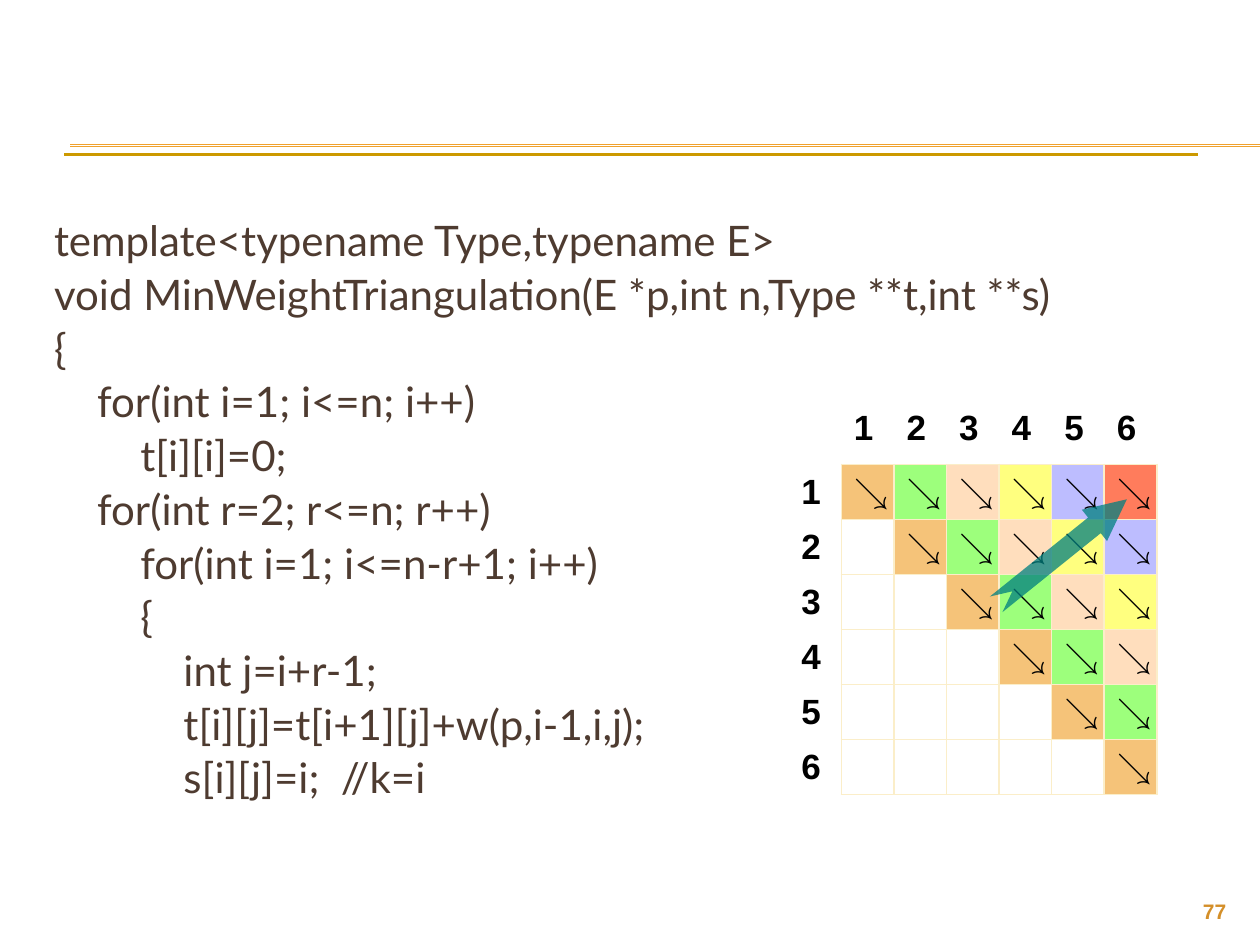
from lxml import etree
from pptx import Presentation
from pptx.dml.color import RGBColor
from pptx.enum.shapes import MSO_CONNECTOR, MSO_SHAPE
from pptx.enum.text import MSO_ANCHOR, PP_ALIGN
from pptx.oxml.ns import qn
from pptx.util import Cm, Pt

STRAIGHT = MSO_CONNECTOR.STRAIGHT
NOTCHED_ARROW = MSO_SHAPE.NOTCHED_RIGHT_ARROW
MIDDLE = MSO_ANCHOR.MIDDLE
LEFT = PP_ALIGN.LEFT
RIGHT = PP_ALIGN.RIGHT

ORANGE = RGBColor(0xF0, 0xA2, 0x2E)
GOLD = RGBColor(0xCC, 0x99, 0x00)
BROWN = RGBColor(0x4E, 0x3B, 0x30)
AMBER = RGBColor(0xD4, 0x8F, 0x29)
CREAM = RGBColor(0xFB, 0xEE, 0xC9)
BLACK = RGBColor(0x00, 0x00, 0x00)
TEAL = RGBColor(0x00, 0x80, 0x80)
GREEN = RGBColor(0x66, 0xFF, 0x33)
PEACH = RGBColor(0xFF, 0xCC, 0x99)
YELLOW = RGBColor(0xFF, 0xFF, 0x00)
LAVENDER = RGBColor(0x99, 0x99, 0xFF)
RED = RGBColor(0xFF, 0x33, 0x00)

DIAGONALS = [(ORANGE, 64), (GREEN, 64), (PEACH, 64), (YELLOW, 50), (LAVENDER, 64), (RED, 64)]
SIZE = len(DIAGONALS)
CODE = [
    (0, "template<typename Type,typename E>"),
    (0, "void MinWeightTriangulation(E *p,int n,Type **t,int **s)"),
    (0, "{"),
    (1, "for(int i=1; i<=n; i++)"),
    (2, "t[i][i]=0;"),
    (1, "for(int r=2; r<=n; r++)"),
    (2, "for(int i=1; i<=n-r+1; i++)"),
    (2, "{"),
    (3, "int j=i+r-1;"),
    (3, "t[i][j]=t[i+1][j]+w(p,i-1,i,j);"),
    (3, "s[i][j]=i;  //k=i"),
]


class SlideBuilder:
    code_font = "Lato"
    label_font = "Arial"
    indent_step = 0.87

    def __init__(self, slide):
        self.slide = slide

    def rule(self, left, right, top, color, width):
        line = self.slide.shapes.add_connector(STRAIGHT, Cm(left), Cm(top), Cm(right), Cm(top))
        line.line.color.rgb = color
        line.line.width = Pt(width)
        etree.SubElement(line._element.spPr, qn("a:effectLst"))

    def run(self, paragraph, text, font, size, color, bold=False):
        run = paragraph.add_run()
        run.text = text
        run.font.name = font
        run.font.size = Pt(size)
        run.font.color.rgb = color
        run.font.bold = bold

    def text_box(self, left, top, width, height):
        box = self.slide.shapes.add_textbox(Cm(left), Cm(top), Cm(width), Cm(height))
        box.text_frame.word_wrap = True
        return box.text_frame

    def code(self, left, top, width, height, lines):
        frame = self.text_box(left, top, width, height)
        for index, (level, text) in enumerate(lines):
            paragraph = frame.add_paragraph() if index else frame.paragraphs[0]
            paragraph.alignment = LEFT
            paragraph.line_spacing = 0.9
            paragraph.space_before = Pt(4.8)
            paragraph._p.get_or_add_pPr().set("marL", str(Cm(level * self.indent_step)))
            self.run(paragraph, text, self.code_font, 24, BROWN)

    def page_number(self, left, top, width, height, text):
        paragraph = self.text_box(left, top, width, height).paragraphs[0]
        paragraph.alignment = RIGHT
        self.run(paragraph, text, self.label_font, 12, AMBER, True)

    def transparent_fill(self, fill, color, opacity):
        fill.solid()
        fill.fore_color.rgb = color
        color_element = fill._xPr.find(qn("a:solidFill"))[0]
        etree.SubElement(color_element, qn("a:alpha"), val=str(opacity * 1000))

    def borders(self, cell, visible):
        properties = cell._tc.get_or_add_tcPr()
        for index, side in enumerate("LRTB"):
            line = etree.Element(qn("a:ln" + side), w=str(Pt(1)))
            if side in visible:
                solid = etree.SubElement(line, qn("a:solidFill"))
                etree.SubElement(solid, qn("a:srgbClr"), val=str(CREAM))
            else:
                etree.SubElement(line, qn("a:noFill"))
            properties.insert(index, line)

    def matrix(self, left, top, column_width, header_height, row_height):
        count = SIZE + 1
        frame = self.slide.shapes.add_table(
            count, count, Cm(left), Cm(top), Cm(count * column_width),
            Cm(header_height + SIZE * row_height))
        table = frame.table
        table.first_row = False
        table.horz_banding = False
        for column in table.columns:
            column.width = Cm(column_width)
        for row_index, row in enumerate(table.rows):
            row.height = Cm(row_height if row_index else header_height)
            for column_index, cell in enumerate(row.cells):
                self.matrix_cell(cell, row_index, column_index)

    def matrix_cell(self, cell, row, column):
        cell.vertical_anchor = MIDDLE
        cell.fill.background()
        text = ""
        visible = "LRTB"
        if row and column:
            if column >= row:
                text = "↘"
                self.transparent_fill(cell.fill, *DIAGONALS[column - row])
        elif row or column:
            text = str(row or column)
            visible = "R" if row else "B"
        else:
            visible = ""
        if text:
            self.run(cell.text_frame.paragraphs[0], text, self.label_font, 20, BLACK, True)
        self.borders(cell, visible)

    def arrow(self, left, top, width, height, rotation):
        shape = self.slide.shapes.add_shape(
            NOTCHED_ARROW, Cm(left), Cm(top), Cm(width), Cm(height))
        shape.adjustments[0] = 0.5
        shape.adjustments[1] = 1.035
        shape.rotation = rotation
        shape.shadow.inherit = False
        shape.line.fill.background()
        self.transparent_fill(shape.fill, TEAL, 75)


presentation = Presentation()
presentation.slide_width = Cm(25.4)
presentation.slide_height = Cm(19.05)
builder = SlideBuilder(presentation.slides.add_slide(presentation.slide_layouts[6]))

for rule_top in (2.92, 2.92, 2.95):
    builder.rule(1.42, 25.4, rule_top, ORANGE, 0.75)
builder.rule(1.3, 24.16, 3.12, GOLD, 1.5)
builder.code(0.84, 4.32, 24.13, 12.57, CODE)
builder.page_number(22.86, 17.98, 2.11, 0.69, "77")
builder.matrix(15.9, 7.92, 1.06, 1.44, 1.11)
builder.arrow(19.71, 10.72, 3.38, 0.81, 321.2)

presentation.save("out.pptx")
